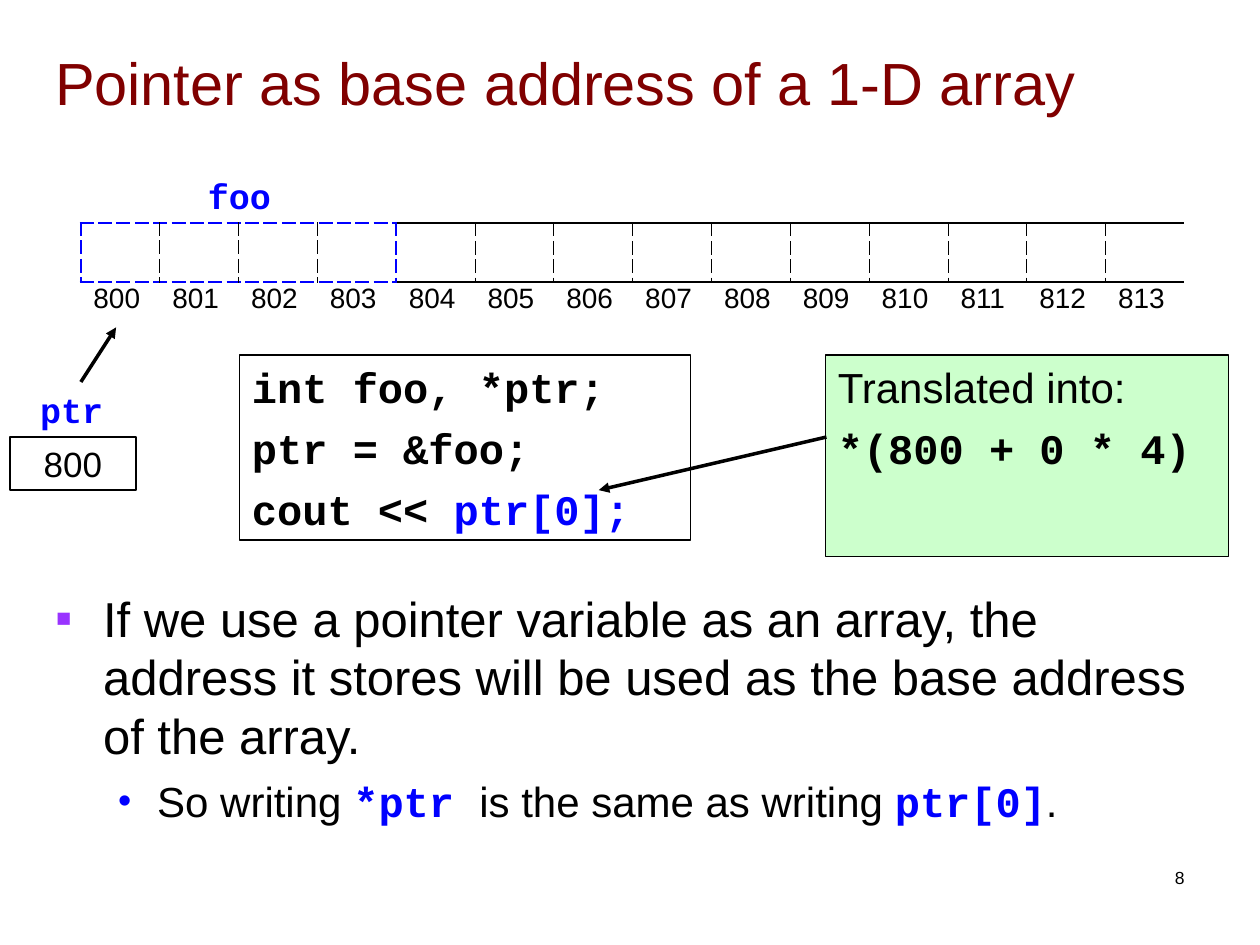
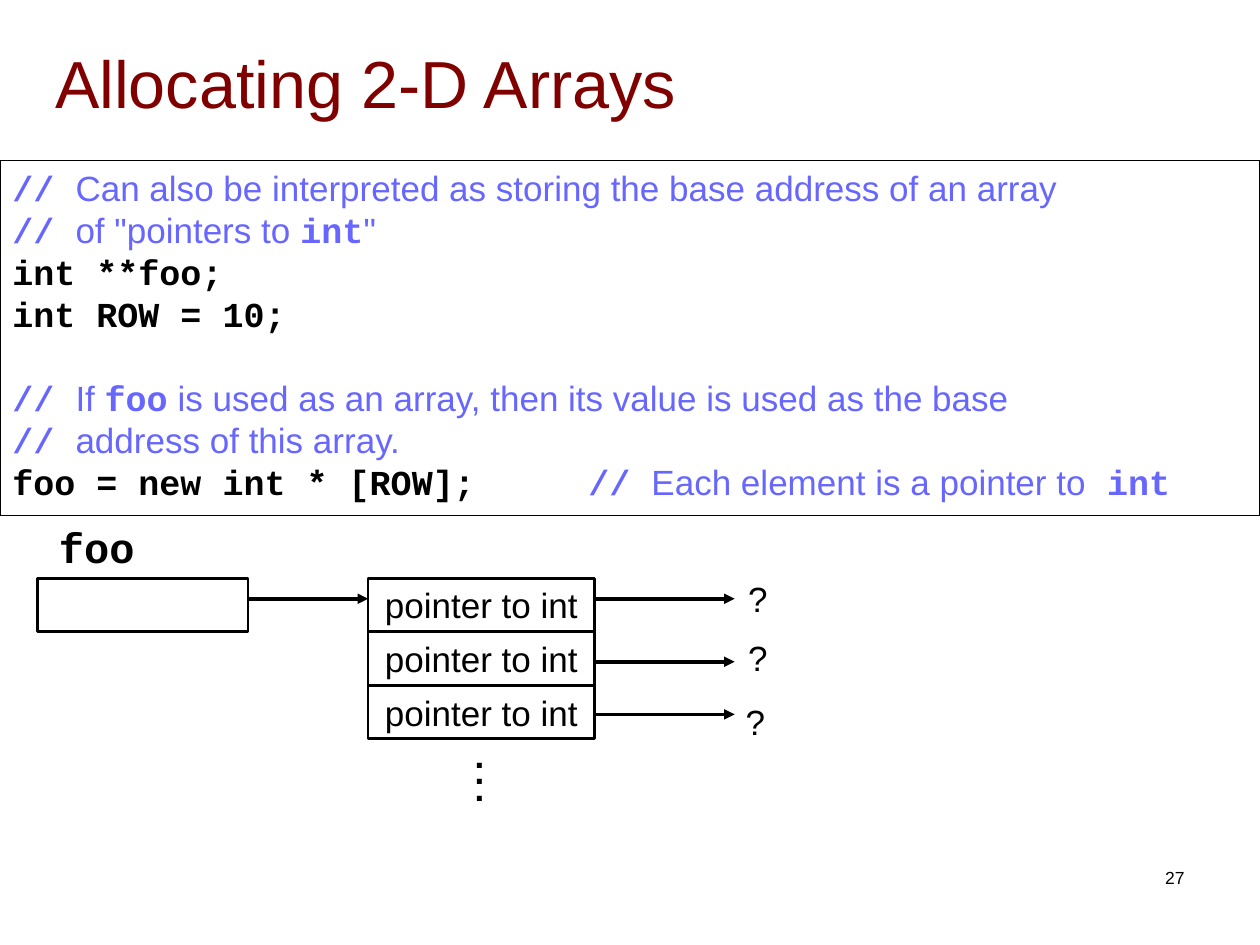
"""Build two lecture slides about pointers and arrays."""
from lxml import etree
from pptx import Presentation, dml, util as u
from pptx.dml import color
from pptx.enum import shapes, text
from pptx.oxml import ns

COLORS = {
    "title": "800000", "ink": "000000", "variable": "0000FF", "comment": "6767FF",
    "bullet": "9933FF", "note": "CCFFCC", "paper": "FFFFFF",
}
CODE = {"font": "Courier New", "bold": True}
VARIABLE = {**CODE, "color": "variable"}
COMMENT = {"color": "comment"}
COMMENT_CODE = {**CODE, **COMMENT}
SLASHES = ("// ", COMMENT_CODE)
CELL_COUNT = 14
FOO_BYTES = 4


def rgb(name):
    """Return the named colour."""
    return color.RGBColor.from_string(COLORS[name])


def cm(values):
    """Turn centimetre numbers into lengths."""
    return [u.Cm(value) for value in values]


def add_xml(parent, tag, **attributes):
    """Append a drawing element and return it."""
    return etree.SubElement(parent, ns.qn(tag), attributes)


def write(frame, *runs, align="LEFT", before=0, spacing=None, **style):
    """Add a paragraph of strings or (string, style) pairs to a frame."""
    first = frame.paragraphs[0]
    paragraph = frame.add_paragraph() if first.runs else first
    paragraph.alignment = text.PP_ALIGN[align]
    paragraph.space_before = u.Pt(before)
    if spacing:
        paragraph.line_spacing = spacing
    for item in runs:
        content, override = (item, {}) if isinstance(item, str) else item
        look = {"size": 20, "font": "Arial", "color": "ink", "bold": False, **style, **override}
        run = paragraph.add_run()
        run.text = content
        run.font.size = u.Pt(look["size"])
        run.font.name = look["font"]
        run.font.bold = look["bold"]
        run.font.color.rgb = rgb(look["color"])
    return paragraph


def set_bullet(paragraph, character, tint, left, hanging, percent=100):
    """Give a paragraph a coloured bullet and a hanging indent."""
    properties = paragraph._p.get_or_add_pPr()
    properties.set("marL", str(u.Cm(left)))
    properties.set("indent", str(-u.Cm(hanging)))
    add_xml(add_xml(properties, "a:buClr"), "a:srgbClr", val=COLORS[tint])
    add_xml(properties, "a:buSzPct", val=str(percent * 1000))
    add_xml(properties, "a:buFont", typeface="Arial")
    add_xml(properties, "a:buChar", char=character)


def set_tabs(paragraph, step, count):
    """Set evenly spaced left tab stops."""
    stops = add_xml(paragraph._p.get_or_add_pPr(), "a:tabLst")
    for index in range(1, count + 1):
        add_xml(stops, "a:tab", pos=str(u.Cm(step * index)), algn="l")


def set_border(cell, side, border):
    """Draw one side of a cell from (colour, points, dash), or hide it."""
    properties = cell._tc.get_or_add_tcPr()
    if border is None:
        add_xml(add_xml(properties, f"a:ln{side}", w="0"), "a:noFill")
        return
    tint, points, dash = border
    line = add_xml(properties, f"a:ln{side}", w=str(u.Pt(points)))
    add_xml(add_xml(line, "a:solidFill"), "a:srgbClr", val=COLORS[tint])
    add_xml(line, "a:prstDash", val=dash)


class Deck:
    """Holds the presentation, its style and the current slide."""

    def __init__(self):
        """Start an empty 4:3 presentation."""
        self.presentation = Presentation()
        self.presentation.slide_width, self.presentation.slide_height = cm((25.4, 19.05))
        self.slide = None

    def start(self, title, size, number):
        """Add a slide with its title and number."""
        self.slide = self.presentation.slides.add_slide(self.presentation.slide_layouts[6])
        frame = self.text_box(0.86, 0.36, 23.8, 2.57, wrap=True)
        frame.vertical_anchor = text.MSO_ANCHOR.MIDDLE
        write(frame, title, size=size, color="title")
        write(self.text_box(18.21, 17.35, 5.92, 1.27, wrap=True), number, size=10, align="RIGHT")

    def text_box(self, *place, wrap=False):
        """Add a text box and return its frame."""
        frame = self.slide.shapes.add_textbox(*cm(place)).text_frame
        frame.word_wrap = wrap
        return frame

    def label(self, content, *place, **style):
        """Add a single line of text."""
        write(self.text_box(*place), content, **style)

    def box(self, *place, fill=None, weight=0.75, anchor="TOP"):
        """Add an outlined rectangle and return its frame."""
        shape = self.slide.shapes.add_shape(shapes.MSO_SHAPE.RECTANGLE, *cm(place))
        shape.shadow.inherit = False
        if fill:
            shape.fill.solid()
            shape.fill.fore_color.rgb = rgb(fill)
        else:
            shape.fill.background()
        shape.line.color.rgb = rgb("ink")
        shape.line.width = u.Pt(weight)
        shape.text_frame.word_wrap = True
        shape.text_frame.vertical_anchor = text.MSO_ANCHOR[anchor]
        return shape.text_frame

    def variable_box(self, content, *place):
        """Add a box that shows the value of a variable."""
        frame = self.box(*place, weight=1.5, anchor="MIDDLE")
        if content:
            write(frame, content, align="CENTER")

    def arrow(self, *ends):
        """Add an arrow between two points."""
        line = self.slide.shapes.add_connector(shapes.MSO_CONNECTOR.STRAIGHT, *cm(ends))
        line.line.color.rgb = rgb("ink")
        line.line.width = u.Pt(2)
        add_xml(line.line._get_or_add_ln(), "a:tailEnd", type="triangle")
        add_xml(line._element.spPr, "a:effectLst")

    def row(self, *place, borders, labels=()):
        """Add a one-row table with borders chosen by cell index."""
        table = self.slide.shapes.add_table(1, CELL_COUNT, *cm(place)).table
        table.first_row = table.horz_banding = False
        for index in range(CELL_COUNT):
            cell = table.cell(0, index)
            for side, border in zip("LRTB", borders(index)):
                set_border(cell, side, border)
            cell.fill.background()
            if labels:
                write(cell.text_frame, labels[index], size=16, before=4)


def memory_borders(index):
    """Return left, right, top and bottom borders of a memory cell."""
    foo_edge = ("variable", 1.47, "dash")

    def divider(position):
        if position == CELL_COUNT:
            return None
        return foo_edge if position in (0, FOO_BYTES) else ("ink", 0.45, "dash")

    outer = foo_edge if index < FOO_BYTES else ("ink", 1.08, "solid")
    return divider(index), divider(index + 1), outer, outer


def build_base_address(deck):
    """Build the slide on a pointer as base address."""
    deck.start("Pointer as base address of a 1-D array", 34, "8")
    body = deck.text_box(0.86, 11.73, 23.8, 5.26, wrap=True)
    main = write(body, "If we use a pointer variable as an array, the address it stores "
                 "will be used as the base address of the array.", size=28, before=7)
    set_bullet(main, "▪", "bullet", 0.97, 0.97)
    detail = write(body, "So writing ", ("*ptr ", VARIABLE), "is the same as writing ",
                   ("ptr[0]", VARIABLE), ".", size=24, before=6)
    detail.level = 1
    set_bullet(detail, "•", "variable", 2.06, 0.79, 90)

    deck.row(1.63, 4.5, 22.25, 1.19, borders=memory_borders)
    deck.row(1.63, 5.59, 22.25, 0.94, borders=lambda index: [None] * 4,
             labels=[str(800 + index) for index in range(CELL_COUNT)])
    deck.label("foo", 3.94, 3.4, 1.78, 1.12, **VARIABLE)
    deck.arrow(1.63, 7.7, 2.34, 6.6)
    deck.label("ptr", 0.56, 7.7, 1.78, 1.12, **VARIABLE)
    deck.variable_box("800", 0.2, 8.81, 2.54, 1.07)

    code = deck.box(4.83, 7.16, 9.09, 3.73)
    for runs in (["int foo, *ptr;"], ["ptr = &foo;"], ["cout <<", (" ptr[0];", VARIABLE)]):
        write(code, *runs, size=24, before=6, **CODE)
    translation = deck.box(16.64, 7.16, 8.13, 4.06, fill="note")
    write(translation, "Translated into:", size=24, before=6)
    write(translation, "*(800 + 0 * 4)", size=24, before=6, **CODE)
    deck.arrow(16.66, 8.81, 12.07, 9.88)


def build_allocation(deck):
    """Build the slide on allocating 2-D arrays."""
    deck.start("Allocating 2-D Arrays", 38, "27")
    code = deck.box(0, 3.23, 25.4, 7.16, fill="paper")
    write(code, SLASHES, "Can also be interpreted as storing the base address of an array",
          **COMMENT)
    write(code, SLASHES, 'of "pointers to ', ("int", CODE), '"', **COMMENT)
    write(code, "int **foo;", **CODE)
    write(code, "int ROW = 10;", **CODE)
    write(code, SLASHES, "If ", ("foo", CODE),
          " is used as an array, then its value is used as the base", before=24, **COMMENT)
    write(code, SLASHES, "address of this array.", **COMMENT)
    allocation = write(code, ("foo = new int * [ROW];\t\t", {**CODE, "color": "ink"}), SLASHES,
                       "Each element is a pointer to", (" int", CODE), **COMMENT)
    set_tabs(allocation, 1.29, 9)

    deck.label("foo", 0.94, 10.39, 2.03, 1.27, size=24, **CODE)
    deck.variable_box("", 0.76, 11.66, 4.24, 1.07)
    deck.arrow(5, 12.07, 7.42, 12.07)
    targets = [(12.07, 14.83, 11.51), (13.34, 14.83, 12.7), (14.4, 14.78, 14)]
    for index, (arrow_top, mark_left, mark_top) in enumerate(targets):
        deck.variable_box("pointer to int", 7.42, 11.66 + 1.08 * index, 4.57, 1.07)
        deck.arrow(11.96, arrow_top, 14.81, arrow_top)
        deck.label("?", mark_left, mark_top, 0.89, 1.12)
    dots = deck.text_box(9.32, 15.09, 0.69, 1.27)
    for dot in "...":
        write(dots, dot, bold=True, spacing=0.4)


def main():
    """Build and save the slides."""
    deck = Deck()
    build_base_address(deck)
    build_allocation(deck)
    deck.presentation.save("out.pptx")


if __name__ == "__main__":
    main()
